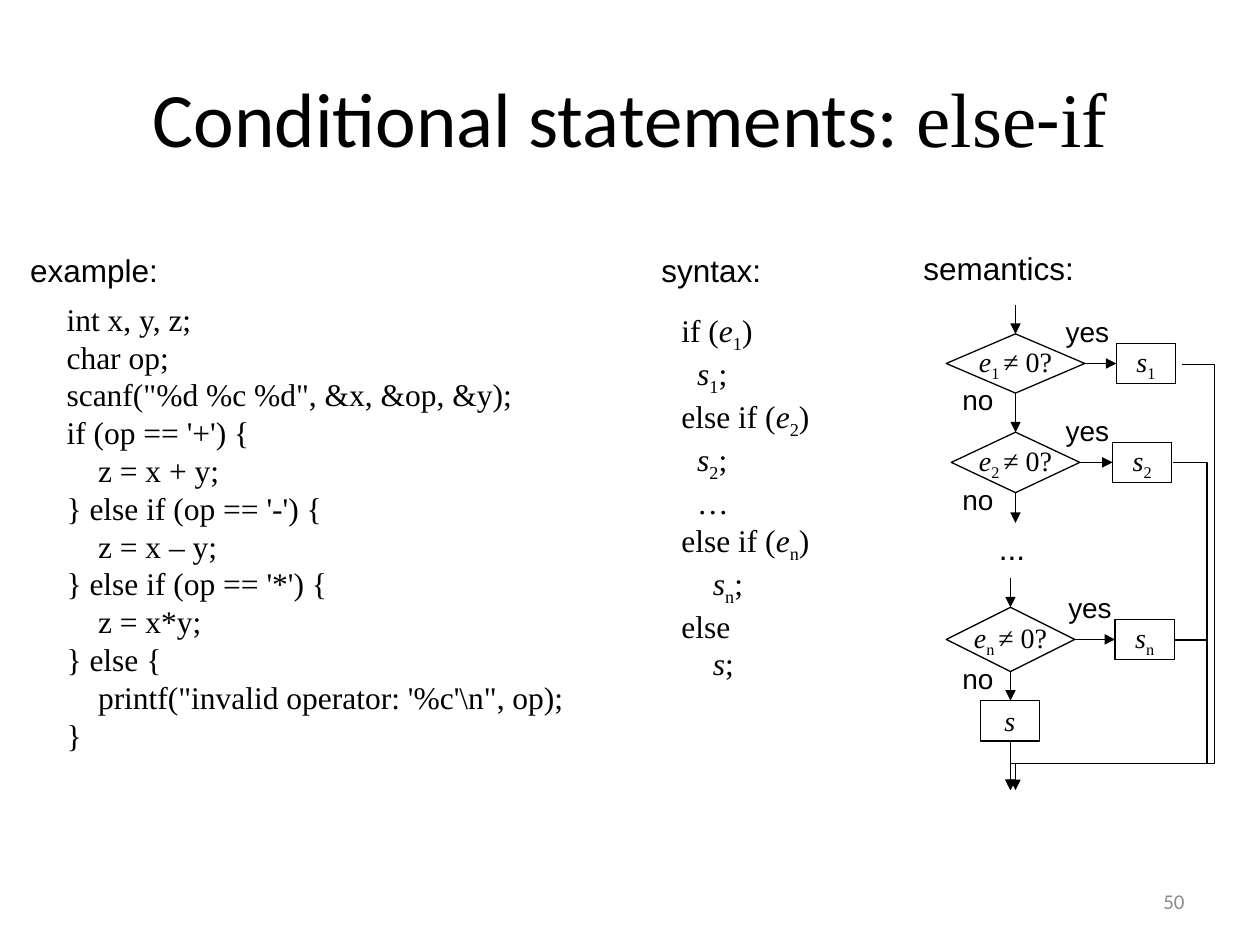
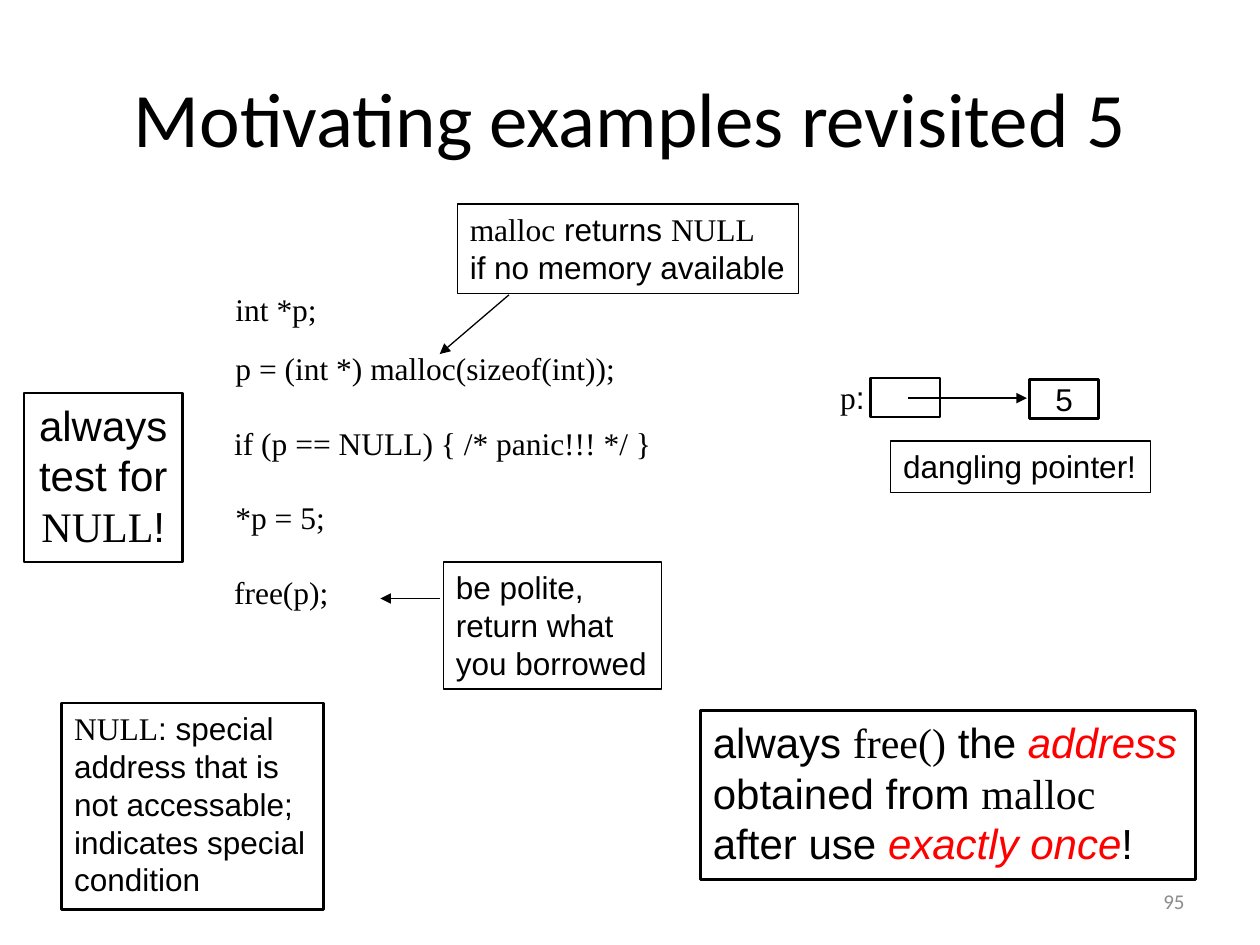
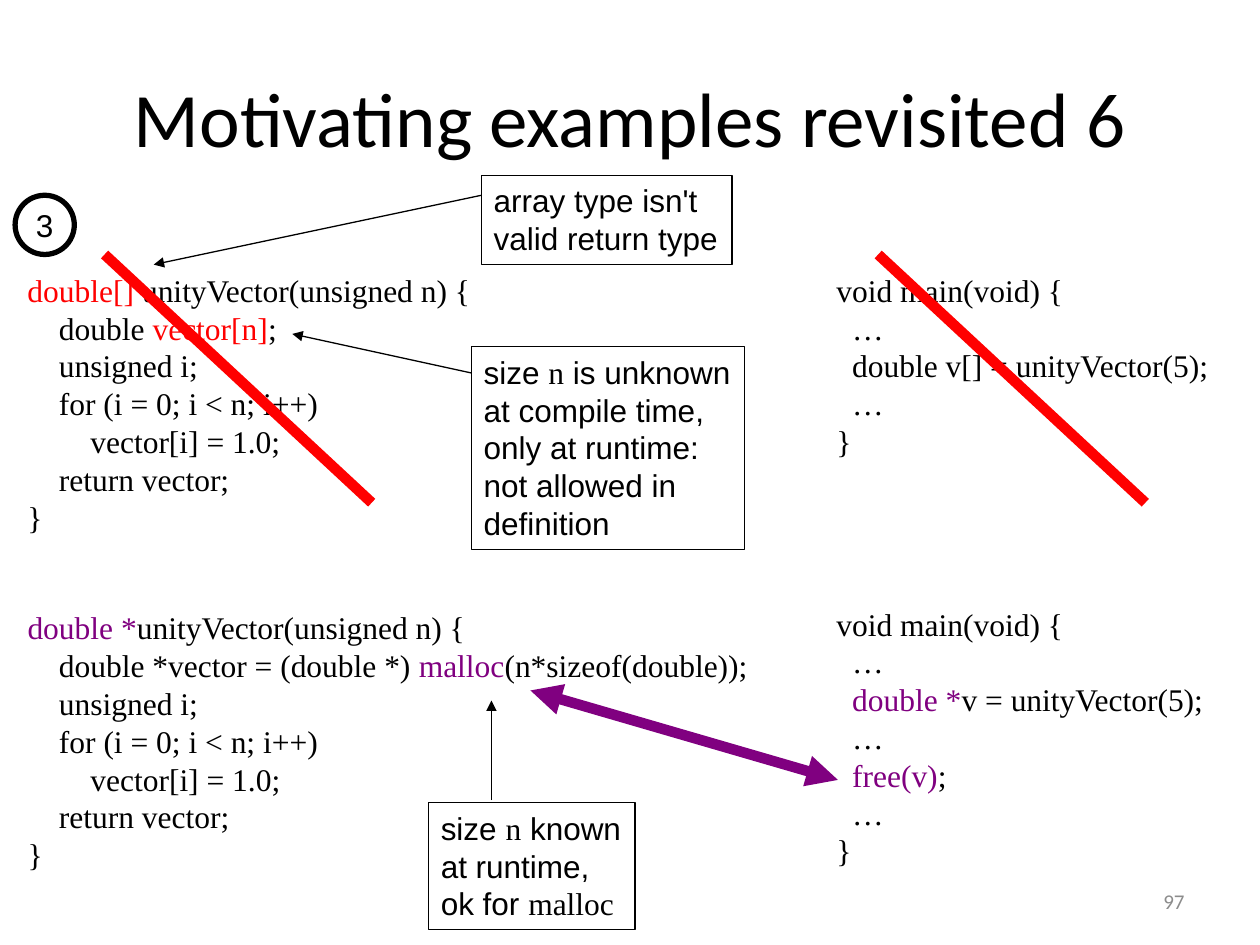
from pptx import Presentation
from pptx.dml.color import RGBColor
from pptx.enum.shapes import MSO_CONNECTOR, MSO_SHAPE
from pptx.enum.text import MSO_ANCHOR, MSO_AUTO_SIZE, PP_ALIGN
from pptx.oxml.ns import qn
from pptx.util import Inches, Pt
from lxml import etree

LEFT, CENTER, RIGHT = PP_ALIGN.LEFT, PP_ALIGN.CENTER, PP_ALIGN.RIGHT
MIDDLE, TOP = MSO_ANCHOR.MIDDLE, MSO_ANCHOR.TOP
STRAIGHT, ELBOW = MSO_CONNECTOR.STRAIGHT, MSO_CONNECTOR.ELBOW
GROW, FIXED = MSO_AUTO_SIZE.SHAPE_TO_FIT_TEXT, MSO_AUTO_SIZE.NONE
DECISION, PROCESS = MSO_SHAPE.FLOWCHART_DECISION, MSO_SHAPE.FLOWCHART_PROCESS
RECTANGLE, OVAL = MSO_SHAPE.RECTANGLE, MSO_SHAPE.OVAL

BLACK, WHITE, GREY = "000000", "FFFFFF", "8C8C8C"
RED, PURPLE = "FF0000", "800080"

TITLE = {"name": "Calibri", "size": Pt(44), "color": BLACK}
NUMBER = {"name": "Calibri", "size": Pt(12), "color": GREY}
LABEL = {"name": "Arial", "size": Pt(18), "color": BLACK}
CODE = {**LABEL, "name": "Times New Roman"}
BRANCH = {**LABEL, "size": Pt(16)}
FORMULA = {**CODE, "size": Pt(16)}
RULE = {**LABEL, "size": Pt(24)}

SERIF = {"name": "Times New Roman"}
ITALIC = {"italic": True}
SUBSCRIPT = {"baseline": "-25000"}
WRONG = {"color": RED}
FIXED_CODE = {"color": PURPLE}
STRESS = {"color": RED, "italic": True}

VECTOR_BODY = [
    "    unsigned i;",
    "    for (i = 0; i < n; i++)",
    "        vector[i] = 1.0;",
    "    return vector;",
    "}",
]


def rgb(value):
    return RGBColor.from_string(value)


def indexed(letter, index):
    return [(letter, ITALIC), (index, SUBSCRIPT)]


def style_run(run, style):
    for key, value in style.items():
        if key == "color":
            run.font.color.rgb = rgb(value)
        elif key == "baseline":
            run.font.italic = False
            run._r.get_or_add_rPr().set(key, value)
        else:
            setattr(run.font, key, value)


def write(frame, lines, style, align=LEFT):
    """Fill a frame; a line is a string or a list of strings and (text, style) pairs."""
    for number, line in enumerate(lines):
        paragraph = frame.add_paragraph() if number else frame.paragraphs[0]
        paragraph.alignment = align
        for piece in [line] if isinstance(line, str) else line:
            text, extra = (piece, {}) if isinstance(piece, str) else piece
            run = paragraph.add_run()
            run.text = text
            style_run(run, {**style, **extra})


def add_text(slide, at, lines, style, align=LEFT, anchor=TOP, wrap=False, size=GROW, border=0):
    box = slide.shapes.add_textbox(*map(Inches, at))
    frame = box.text_frame
    frame.word_wrap, frame.auto_size, frame.vertical_anchor = wrap, size, anchor
    write(frame, lines, style, align)
    if border:
        box.line.color.rgb = rgb(BLACK)
        box.line.width = Pt(border)


def add_note(slide, at, lines, style=LABEL, align=LEFT, border=0.75):
    add_text(slide, at, lines, style, align, border=border)


def add_node(slide, kind, at, line, style, border=0.75):
    node = slide.shapes.add_shape(kind, *map(Inches, at))
    node.shadow.inherit = False
    node.fill.solid()
    node.fill.fore_color.rgb = rgb(WHITE)
    node.line.color.rgb = rgb(BLACK)
    node.line.width = Pt(border)
    node.text_frame.word_wrap = False
    node.text_frame.vertical_anchor = MIDDLE
    if line:
        write(node.text_frame, [line], style, CENTER)


def add_line(slide, start, end, color=BLACK, width=0.75, heads=("tailEnd",), kind=STRAIGHT):
    line = slide.shapes.add_connector(kind, *map(Inches, (*start, *end)))
    line.line.color.rgb = rgb(color)
    line.line.width = Pt(width)
    properties = line.element.spPr
    for head in heads:
        etree.SubElement(properties.find(qn("a:ln")), qn(f"a:{head}"), type="triangle")
    etree.SubElement(properties, qn("a:effectLst"))
    return line


def add_return_line(slide, start, end, rail, floor):
    """Arrow that leaves sideways to x = rail, drops to y = floor and enters end from above."""
    line = add_line(slide, start, end, kind=ELBOW)
    geometry = line.element.spPr.find(qn("a:prstGeom"))
    geometry.set("prst", "bentConnector4")
    guides = geometry.find(qn("a:avLst"))
    shares = ((rail - start[0]) / (end[0] - start[0]), (floor - start[1]) / (end[1] - start[1]))
    for number, share in enumerate(shares, 1):
        etree.SubElement(guides, qn("a:gd"), name=f"adj{number}", fmla=f"val {round(share * 100000)}")


def add_page(deck, title, number):
    slide = deck.slides.add_slide(deck.slide_layouts[6])
    add_text(slide, (0.5, 0.3, 9, 1.25), [title], TITLE, CENTER, MIDDLE, True, FIXED)
    add_text(slide, (7.17, 6.95, 2.33, 0.4), [number], NUMBER, RIGHT, MIDDLE, True, FIXED)
    return slide


def add_test(slide, index, decision, action_left, yes_at):
    """One test of the chain, with its yes and no branches."""
    left, top, width, height = decision
    middle, bottom = top + height / 2, top + height
    add_node(slide, DECISION, decision, [("e", ITALIC), (index + " ", SUBSCRIPT), "≠ 0?"], FORMULA)
    add_node(slide, PROCESS, (action_left, middle - 0.16, 0.47, 0.32), indexed("s", index), FORMULA)
    add_line(slide, (left + width, middle), (action_left, middle))
    add_text(slide, (7.54, bottom - 0.13, 0.45, 0.37), ["no"], BRANCH)
    add_text(slide, (*yes_at, 0.55, 0.37), ["yes"], BRANCH)


def add_flowchart(slide):
    upper_axis, lower_axis, end = 8.06, 8.02, 6.27
    add_test(slide, "1", (7.51, 2.65, 1.1, 0.47), 8.86, (8.36, 2.45))
    add_test(slide, "2", (7.55, 3.43, 1.02, 0.48), 8.83, (8.36, 3.23))
    add_test(slide, "n", (7.51, 4.82, 1.02, 0.51), 8.85, (8.38, 4.64))
    add_text(slide, (7.83, 4.15, 0.45, 0.4), ["..."], LABEL, wrap=True)
    add_node(slide, PROCESS, (7.78, 5.56, 0.47, 0.32), [("s", ITALIC)], FORMULA)
    for axis, top, bottom in (
        (upper_axis, 2.42, 2.65), (upper_axis, 3.12, 3.43), (upper_axis, 3.91, 4.15),
        (lower_axis, 4.59, 4.82), (lower_axis, 5.33, 5.56), (lower_axis, 5.88, end),
    ):
        add_line(slide, (axis, top), (axis, bottom))
    for start, axis, rail in (
        ((9.38, 2.89), upper_axis, 9.64),
        ((9.31, 3.67), lower_axis, 9.58),
        ((9.32, 5.08), lower_axis, 9.58),
    ):
        add_return_line(slide, start, (axis, end), rail, 6.06)


def build_else_if(deck):
    slide = add_page(deck, ["Conditional statements: ", ("else", SERIF), "-", ("if", SERIF)], "50")
    for left, top, width, heading in (
        (0.14, 1.94, 1.22, "example:"), (5.15, 1.94, 0.99, "syntax:"), (7.23, 1.93, 1.4, "semantics:"),
    ):
        add_text(slide, (left, top, width, 0.4), [heading], LABEL)
    add_text(slide, (0.43, 2.33, 4.15, 3.7), [
        "int x, y, z;",
        "char op;",
        'scanf("%d %c %d", &x, &op, &y);',
        "if (op == '+') {",
        "    z = x + y;",
        "} else if (op == '-') {",
        "    z = x – y;",
        "} else if (op == '*') {",
        "    z = x*y;",
        "} else {",
        "    printf(\"invalid operator: '%c'\\n\", op);",
        "}",
    ], CODE)
    add_text(slide, (5.31, 2.42, 1.23, 2.8), [
        ["if (", *indexed("e", "1"), ")"],
        [*indexed("  s", "1"), ";"],
        ["else if (", *indexed("e", "2"), ")"],
        [*indexed("  s", "2"), ";"],
        "  …",
        ["else if (", *indexed("e", "n"), ")"],
        [*indexed("    s", "n"), ";"],
        "else",
        [("    s", ITALIC), ";"],
    ], CODE)
    add_flowchart(slide)


def build_free(deck):
    slide = add_page(deck, "Motivating examples revisited 5", "95")
    for left, top, width, statement in (
        (1.77, 2.25, 0.85, "int *p;"),
        (1.77, 2.72, 3.22, "p = (int *) malloc(sizeof(int));"),
        (1.76, 3.32, 3.51, "if (p == NULL) { /* panic!!! */ }"),
        (1.77, 3.9, 0.91, "*p = 5;"),
        (1.76, 4.5, 0.95, "free(p);"),
    ):
        add_text(slide, (left, top, width, 0.4), [statement], CODE)

    add_note(slide, (0.19, 3.12, 1.26, 1.34),
             ["always", "test for", [("NULL", SERIF), "!"]], RULE, CENTER, 1.5)
    add_note(slide, (3.63, 1.62, 2.71, 0.71),
             [[("malloc", SERIF), " returns ", ("NULL", SERIF)], "if no memory available"])
    add_line(slide, (4.04, 2.34), (3.49, 2.81))
    add_note(slide, (3.52, 4.46, 1.73, 1.01), ["be polite,", "return what", "you borrowed"])
    add_line(slide, (3.49, 4.75), (3.02, 4.75))
    add_note(slide, (5.56, 5.64, 3.93, 1.34), [
        ["always ", ("free()", SERIF), " the ", ("address", STRESS)],
        ["obtained from ", ("malloc", SERIF)],
        ["after use ", ("exactly once", STRESS), "!"],
    ], RULE, border=1.5)
    add_note(slide, (0.49, 5.58, 2.08, 1.64), [
        [("NULL", SERIF), ": special"],
        "address that is", "not accessable;", "indicates special", "condition",
    ], border=1.5)

    add_text(slide, (6.57, 2.95, 0.4, 0.4), [[("p", SERIF), ":"]], LABEL)
    add_node(slide, RECTANGLE, (6.91, 3, 0.55, 0.31), "", LABEL, 1.5)
    add_node(slide, RECTANGLE, (8.17, 3.01, 0.55, 0.31), "5", LABEL, 1.5)
    add_line(slide, (7.21, 3.16), (8.15, 3.16), width=1.5)
    add_note(slide, (7.07, 3.5, 2.06, 0.41), ["dangling pointer!"])


def build_unity_vector(deck):
    slide = add_page(deck, "Motivating examples revisited 6", "97")
    add_node(slide, OVAL, (0.12, 1.55, 0.47, 0.47), "3", LABEL, 3)
    add_text(slide, (0.12, 2.1, 3.74, 2.2), [
        [("double[]", WRONG), " unityVector(unsigned n) {"],
        ["    double ", ("vector[n]", WRONG), ";"],
        *VECTOR_BODY,
    ], CODE)
    add_text(slide, (0.12, 4.78, 5.92, 2.2), [
        [("double *", FIXED_CODE), "unityVector(unsigned n) {"],
        ["    double *vector = (double *) ", ("malloc", FIXED_CODE), "(n*sizeof(double));"],
        *VECTOR_BODY,
    ], CODE)
    add_text(slide, (6.54, 2.1, 3.18, 1.6), [
        "void main(void) {", "  …", "  double v[] = unityVector(5);", "  …", "}",
    ], CODE)
    add_text(slide, (6.54, 4.75, 3.14, 2.2), [
        "void main(void) {",
        "  …",
        ["  ", ("double *", FIXED_CODE), "v = unityVector(5);"],
        "  …",
        ["  ", ("free(v)", FIXED_CODE), ";"],
        "  …",
        "}",
    ], CODE)
    for strike_left in (0.83, 6.97):
        add_line(slide, (strike_left, 2.02), (strike_left + 2.12, 3.99), RED, 6, heads=())
    add_line(slide, (4.21, 5.48), (6.65, 6.19), PURPLE, 6, heads=("headEnd", "tailEnd"))

    add_note(slide, (3.82, 1.39, 1.99, 0.71), ["array type isn't", "valid return type"])
    add_line(slide, (3.82, 1.55), (1.22, 2.1))
    add_note(slide, (3.74, 2.75, 2.17, 1.61), [
        ["size ", ("n", SERIF), " is unknown"],
        "at compile time,", "only at runtime:", "not allowed in", "definition",
    ])
    add_line(slide, (3.74, 2.96), (2.32, 2.65))
    add_note(slide, (3.4, 6.37, 1.64, 1.01), [
        ["size ", ("n", SERIF), " known"], "at runtime,", ["ok for ", ("malloc", SERIF)],
    ])
    add_line(slide, (3.9, 6.35), (3.9, 5.56))


def main():
    deck = Presentation()
    deck.slide_width, deck.slide_height = Inches(10), Inches(7.5)
    build_else_if(deck)
    build_free(deck)
    build_unity_vector(deck)
    deck.save("out.pptx")


if __name__ == "__main__":
    main()
